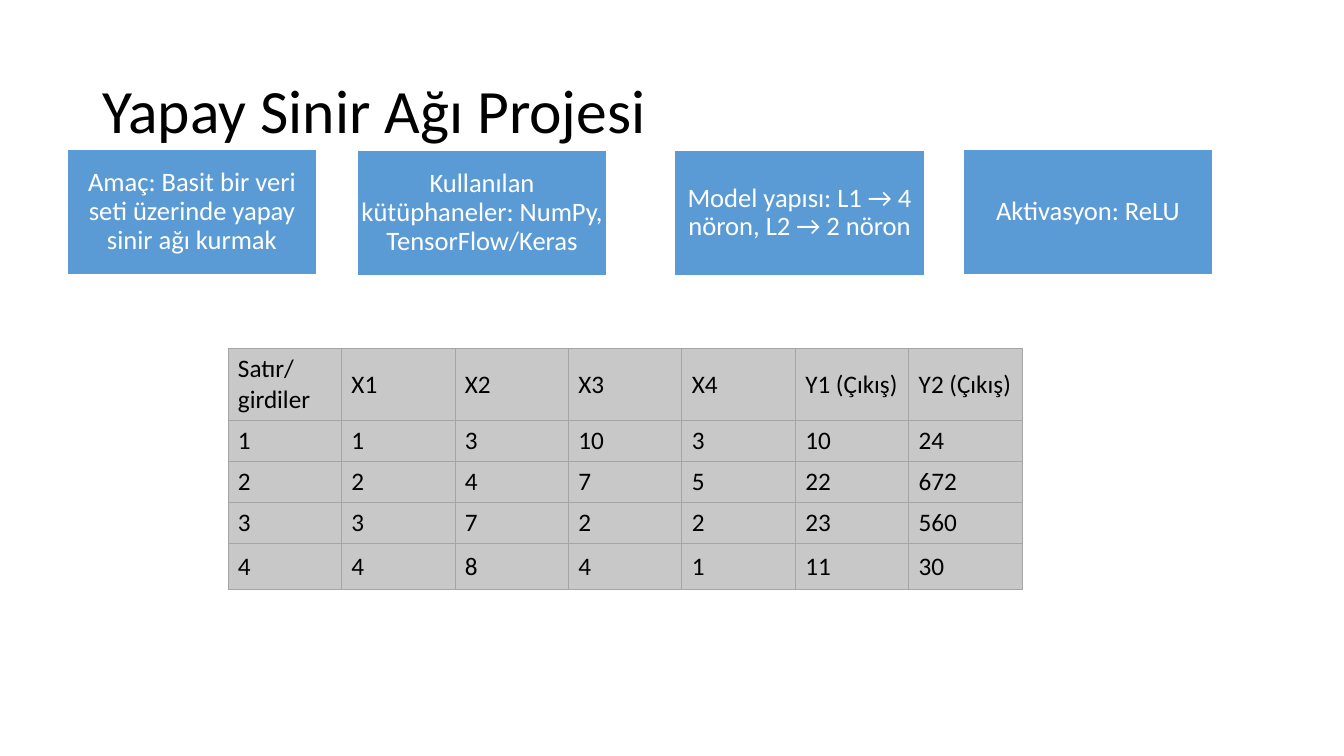
"""Build the neural network project slide with four summary boxes and a data table."""
from lxml import etree
from pptx import Presentation
from pptx.dml.color import RGBColor
from pptx.enum import shapes, text
from pptx.oxml import ns
from pptx.util import Pt

COLORS = {"text": "000000", "box": "5B9BD5", "white": "FFFFFF", "cell": "C8C8C8", "border": "A5A5A5"}
FONT = "Calibri"


def set_font(paragraph, size, color):
    paragraph.font.name = FONT
    paragraph.font.size = Pt(size)
    paragraph.font.color.rgb = RGBColor.from_string(COLORS[color])


def add_borders(cell):
    properties = cell._tc.get_or_add_tcPr()
    for side in ("a:lnL", "a:lnR", "a:lnT", "a:lnB"):
        line = etree.SubElement(properties, ns.qn(side), w=str(Pt(0.5)))
        fill = etree.SubElement(line, ns.qn("a:solidFill"))
        etree.SubElement(fill, ns.qn("a:srgbClr"), val=COLORS["border"])


presentation = Presentation()
presentation.slide_width = Pt(960)
presentation.slide_height = Pt(540)
slide = presentation.slides.add_slide(presentation.slide_layouts[5])

title = slide.shapes.title
title.left, title.top, title.width, title.height = Pt(66), Pt(28.75), Pt(828), Pt(104.4)
title.text_frame.text = "Yapay Sinir Ağı Projesi"
title.text_frame.vertical_anchor = text.MSO_ANCHOR.MIDDLE
title.text_frame.auto_size = text.MSO_AUTO_SIZE.NONE
heading = title.text_frame.paragraphs[0]
heading.alignment = text.PP_ALIGN.LEFT
heading.line_spacing = 0.9
set_font(heading, 44, "text")

summary_boxes = [
    (47.8, 106.8, "Amaç: Basit bir veri seti üzerinde yapay sinir ağı kurmak"),
    (255, 107.5, "Kullanılan kütüphaneler: NumPy, TensorFlow/Keras"),
    (481.8, 107.5, "Model yapısı: L1 → 4 nöron, L2 → 2 nöron"),
    (687.8, 106.8, "Aktivasyon: ReLU"),
]
for left, top, label in summary_boxes:
    box = slide.shapes.add_shape(shapes.MSO_SHAPE.RECTANGLE, Pt(left), Pt(top), Pt(178.6), Pt(89.3))
    box.shadow.inherit = False
    box.fill.solid()
    box.fill.fore_color.rgb = RGBColor.from_string(COLORS["box"])
    box.line.color.rgb = RGBColor.from_string(COLORS["white"])
    box.line.width = Pt(1)
    frame = box.text_frame
    frame.word_wrap = True
    frame.vertical_anchor = text.MSO_ANCHOR.MIDDLE
    frame.margin_left = frame.margin_right = frame.margin_top = frame.margin_bottom = Pt(1)
    frame.text = label
    paragraph = frame.paragraphs[0]
    paragraph.alignment = text.PP_ALIGN.CENTER
    paragraph.line_spacing = 0.9
    set_font(paragraph, 19, "white")

rows = [
    ["Satır/girdiler", "X1", "X2", "X3", "X4", "Y1 (Çıkış)", "Y2 (Çıkış)"],
    [1, 1, 3, 10, 3, 10, 24],
    [2, 2, 4, 7, 5, 22, 672],
    [3, 3, 7, 2, 2, 23, 560],
    [4, 4, 8, 4, 1, 11, 30],
]
row_heights = [51.4, 29.3, 29.3, 29.3, 33]
table = slide.shapes.add_table(
    len(rows), len(rows[0]), Pt(162.8), Pt(248.9), Pt(567.4), Pt(sum(row_heights))
).table
table.first_row = False
table.horz_banding = False
for column in table.columns:
    column.width = Pt(81.05)
for row, height, values in zip(table.rows, row_heights, rows):
    row.height = Pt(height)
    for cell, value in zip(row.cells, values):
        add_borders(cell)
        cell.fill.solid()
        cell.fill.fore_color.rgb = RGBColor.from_string(COLORS["cell"])
        cell.vertical_anchor = text.MSO_ANCHOR.MIDDLE
        cell.text = str(value)
        set_font(cell.text_frame.paragraphs[0], 18, "text")

presentation.save("out.pptx")
